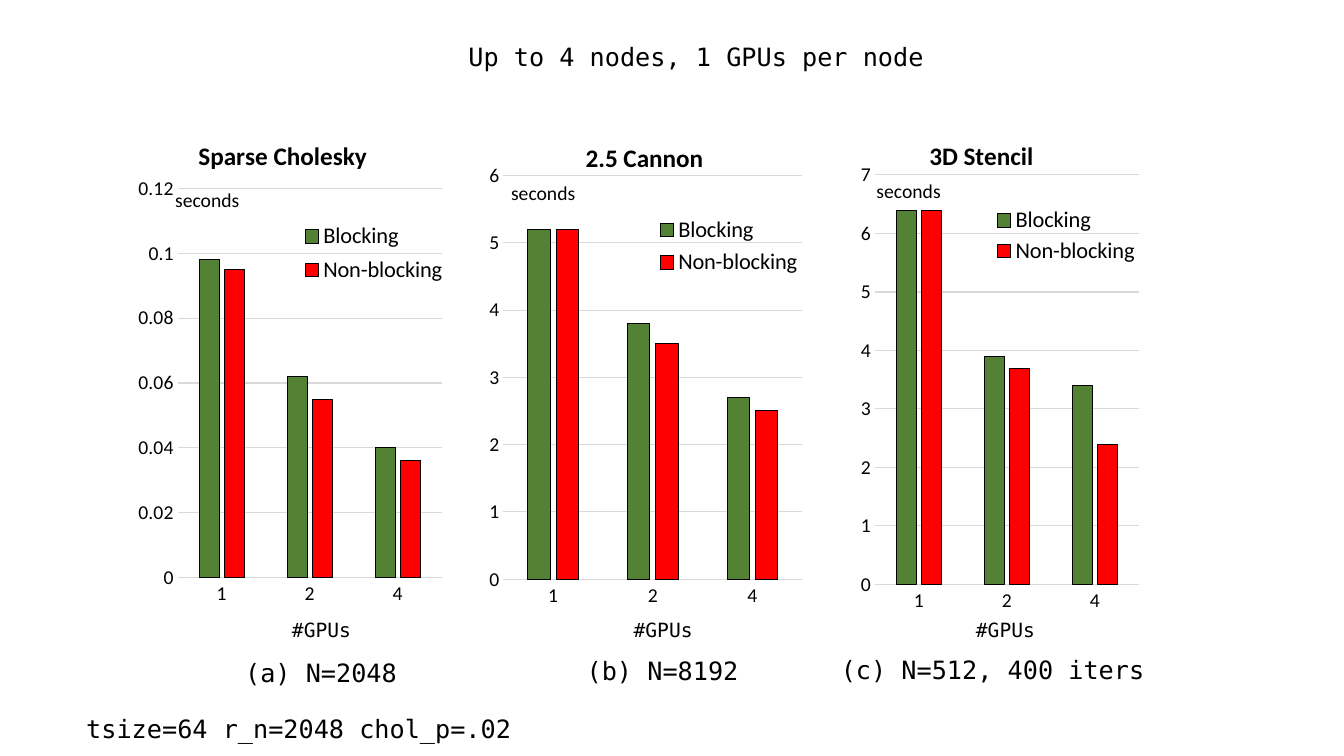
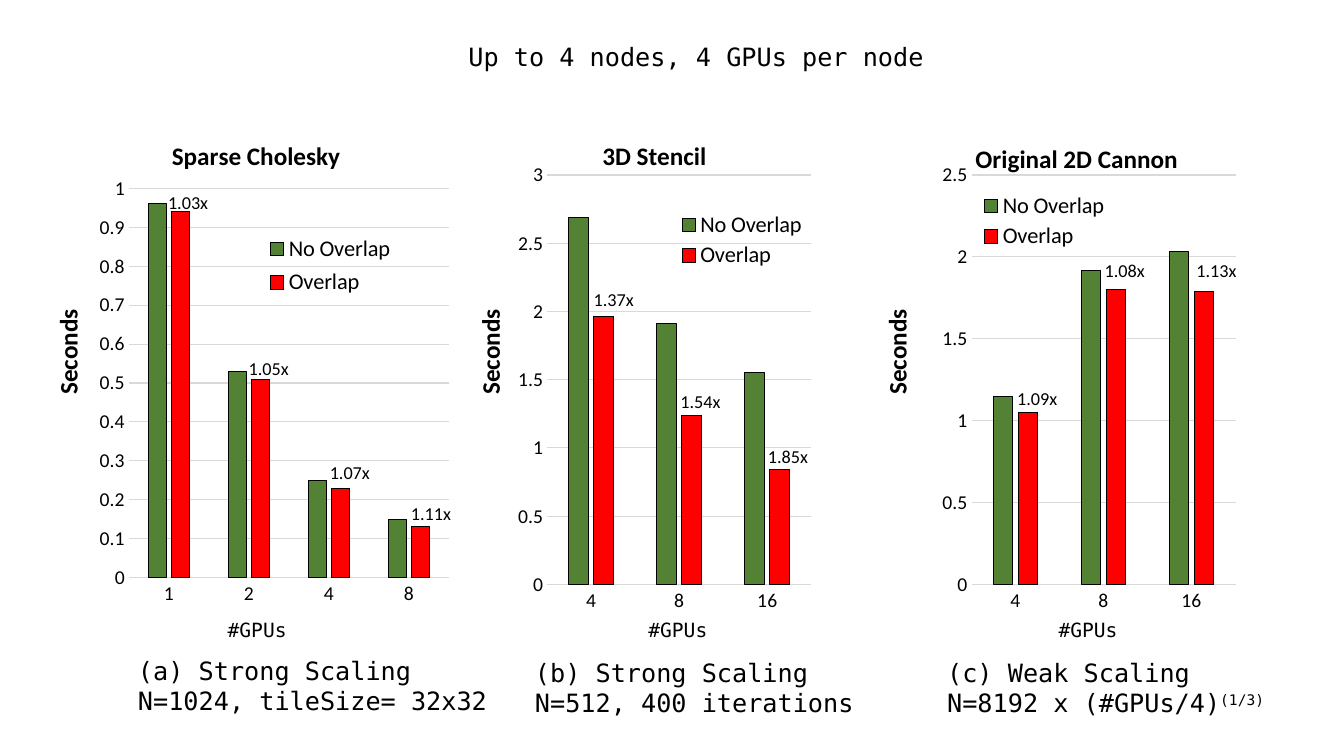
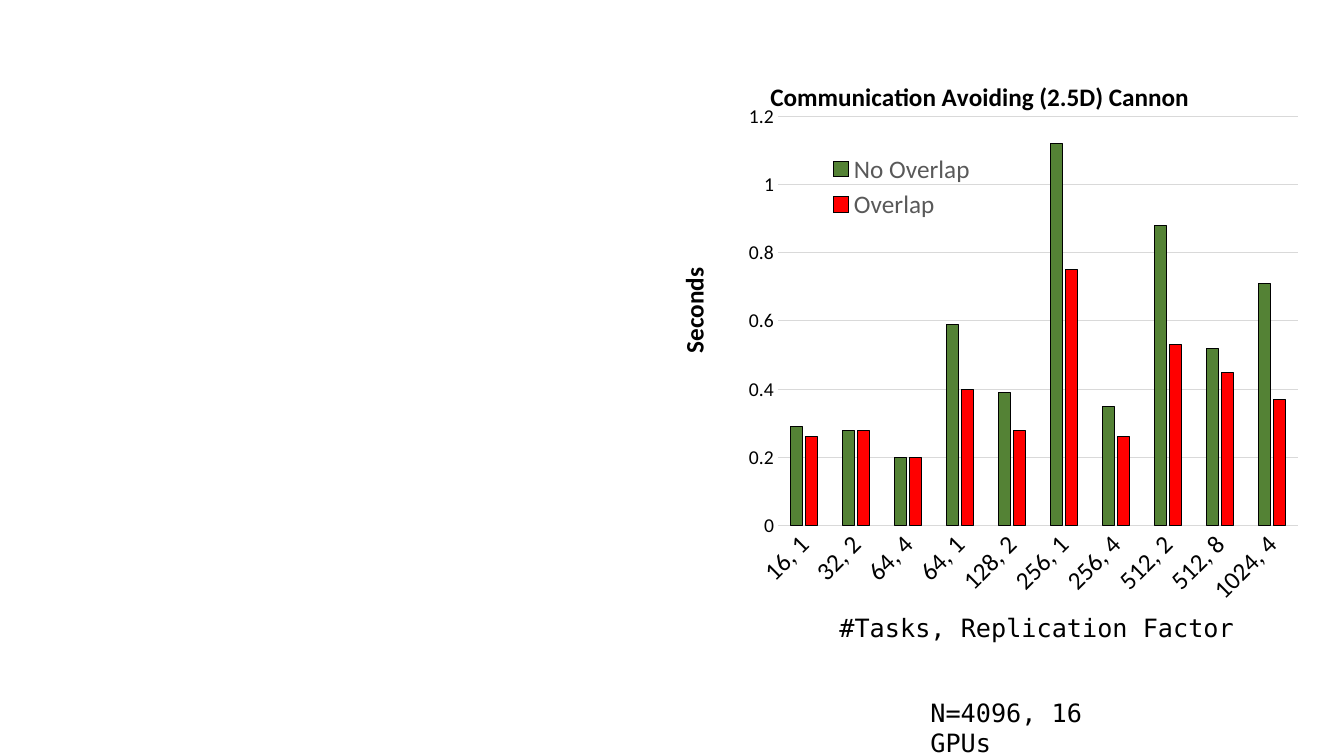
import pptx
import pptx.chart.data
import pptx.dml.color
import pptx.enum.chart
import pptx.enum.text
import pptx.oxml
import pptx.oxml.ns
import pptx.util

Pt = pptx.util.Pt
RGBColor = pptx.dml.color.RGBColor
qn = pptx.oxml.ns.qn

BLACK = RGBColor(0x00, 0x00, 0x00)
GREEN = RGBColor(0x54, 0x82, 0x35)
RED = RGBColor(0xFF, 0x00, 0x00)
GRID = RGBColor(0xD9, 0xD9, 0xD9)
GRAY = RGBColor(0x59, 0x59, 0x59)
SANS, MONO = "Calibri", "DejaVu Sans Mono"

BLOCKING = ("Blocking", "Non-blocking")
OVERLAP = ("No Overlap", "Overlap")
TALL_PLOT = (0.205, 0.112, 0.744, 0.704)
SHORT_PLOT = (0.205, 0.137, 0.744, 0.679)
WIDE_PLOT = (0.107, 0.116, 0.842, 0.713)

STYLES = {
    "note": dict(size=18, font=MONO, height=29),
    "caption": dict(size=18, font=MONO, height=51, wrap=True),
    "gpus": dict(size=14, font=MONO, width=57, height=24.5),
    "unit": dict(size=14, font=SANS, width=97, height=24.5, wrap=True),
    "speedup": dict(size=13, font=SANS, width=44.5, height=23, wrap=True),
    "axis": dict(size=18, font=SANS, width=97, height=29, wrap=True,
                 bold=True, turn=270),
}

SLIDES = [
    dict(
        charts=[
            dict(title="Sparse Cholesky", title_at=(138.5, 95.5),
                 frame=(75, 78.5, 253.5, 409.5), plot=SHORT_PLOT,
                 legend=(212, 168, 26), top=0.12, step=0.02,
                 names=BLOCKING, cats=[1, 2, 4],
                 values=([0.098, 0.062, 0.04], [0.095, 0.055, 0.036])),
            dict(title="2.5 Cannon", title_at=(415, 97),
                 frame=(332.5, 78.5, 253.5, 404.5), plot=WIDE_PLOT,
                 legend=(465.5, 163.5, 25), top=6, step=1,
                 names=BLOCKING, cats=[1, 2, 4],
                 values=([5.2, 3.8, 2.7], [5.2, 3.5, 2.5])),
            dict(title="3D Stencil", title_at=(660.5, 95.5),
                 frame=(573, 78.5, 253.5, 415.5), plot=TALL_PLOT,
                 legend=(706.5, 157, 23), top=7, step=1,
                 names=BLOCKING, cats=[1, 2, 4],
                 values=([6.4, 3.9, 3.4], [6.4, 3.7, 2.4])),
        ],
        texts={
            "note": [("Up to 4 nodes, 1 GPUs per node", 327.5, 26, 344),
                     ("(a) N=2048", 168, 466, 124.5),
                     ("(b) N=8192", 412, 464.5, 124.5),
                     ("(c) N=512, 400 iters", 593.5, 463.5, 234),
                     ("tsize=64 r_n=2048 chol_p=.02", 54.5, 506, 322)],
            "unit": [("seconds", 118, 130.5), ("seconds", 358, 125.5),
                     ("seconds", 619, 124.5)],
            "gpus": [("#GPUs", x, 438) for x in (201.5, 445.5, 690)],
        }),
    dict(
        charts=[
            dict(title="Sparse Cholesky", title_at=(119.5, 95.5),
                 frame=(29, 78.5, 307.5, 409.5), plot=SHORT_PLOT,
                 legend=(181, 177, 26), top=1, step=0.1,
                 names=OVERLAP, cats=[1, 2, 4, 8],
                 values=([0.96, 0.53, 0.25, 0.15], [0.94, 0.51, 0.23, 0.13])),
            dict(title="3D Stencil", title_at=(427, 95.5),
                 frame=(339, 78.5, 253.5, 415.5), plot=TALL_PLOT,
                 legend=(475, 160, 23), top=3, step=0.5,
                 names=OVERLAP, cats=[4, 8, 16],
                 values=([2.69, 1.91, 1.55], [1.96, 1.24, 0.84])),
            dict(title="Original 2D Cannon", title_at=(693.5, 97.5),
                 frame=(642, 78.5, 253.5, 415.5), plot=TALL_PLOT,
                 legend=(691, 146.5, 23), top=2.5, step=0.5,
                 names=OVERLAP, cats=[4, 8, 16],
                 values=([1.15, 1.92, 2.03], [1.05, 1.8, 1.79])),
        ],
        texts={
            "note": [("Up to 4 nodes, 4 GPUs per node", 327.5, 26, 344)],
            "caption": [
                ("(a) Strong Scaling N=1024, tileSize= 32x32", 91.5, 464.5, 272),
                ("(b) Strong Scaling N=512, 400 iterations", 375, 466, 247.5),
                ("(c) Weak Scaling\vN=8192 x (#GPUs/4)^(1/3)", 669.5, 466, 283)],
            "gpus": [("#GPUs", x, 438) for x in (155.5, 456, 749)],
            "axis": [("Seconds", x, 226) for x in (0, 301.5, 592)],
            "speedup": [("1.03x", 113, 133), ("1.05x", 170.5, 252),
                        ("1.07x", 228.5, 326), ("1.11x", 286.5, 355.5),
                        ("1.37x", 417, 202.5), ("1.54x", 479, 275),
                        ("1.85x", 541.5, 314.5), ("1.09x", 719.5, 273),
                        ("1.08x", 782, 182), ("1.13x", 847.5, 182)],
        }),
    dict(
        charts=[
            dict(title="Communication Avoiding (2.5D) Cannon",
                 title_at=(547, 53.5), frame=(453.5, 36.5, 499, 415.5),
                 plot=TALL_PLOT, legend=(589, 120, 27), top=1.2, step=0.2,
                 legend_size=18, legend_color=GRAY, cat_size=18, slant=True,
                 names=OVERLAP,
                 cats=["16, 1", "32, 2", "64, 4", "64, 1", "128, 2",
                       "256, 1", "256, 4", "512, 2", "512, 8", "1024, 4"],
                 values=([0.29, 0.28, 0.2, 0.59, 0.39, 1.12, 0.35, 0.88, 0.52, 0.71],
                         [0.26, 0.28, 0.2, 0.4, 0.28, 0.75, 0.26, 0.53, 0.45, 0.37])),
        ],
        texts={
            "axis": [("Seconds", 447, 196.5)],
            "note": [("#Tasks, Replication Factor", 592.5, 433.5, 300),
                     ("N=4096, 16 GPUs", 657.5, 494.5, 164)],
        }),
]


def set_font(font, size, color=BLACK, name=SANS, bold=False):
    font.size = Pt(size)
    font.color.rgb = color
    font.name = name
    font.bold = bold


def set_layout(parent, index, sizes, inner=False):
    for old in parent.findall(qn("c:layout")):
        parent.remove(old)
    tags = [("layoutTarget", "inner")] if inner else []
    tags += [("xMode", "edge"), ("yMode", "edge")]
    tags += zip("xywh", sizes)
    body = "".join(f'<c:{tag} val="{value}"/>' for tag, value in tags)
    parent.insert(index, pptx.oxml.parse_xml(
        f'<c:layout {pptx.oxml.ns.nsdecls("c")}>'
        f'<c:manualLayout>{body}</c:manualLayout></c:layout>'))


def add_bars(slide, spec):
    left, top, width, height = spec["frame"]
    data = pptx.chart.data.CategoryChartData()
    data.categories = spec["cats"]
    for name, values in zip(spec["names"], spec["values"]):
        data.add_series(name, values)
    chart = slide.shapes.add_chart(
        pptx.enum.chart.XL_CHART_TYPE.COLUMN_CLUSTERED,
        *map(Pt, spec["frame"]), data).chart
    set_font(chart.font, 10)

    plot = chart.plots[0]
    plot.gap_width, plot.overlap, plot.vary_by_categories = 219, -27, False
    for series, color in zip(plot.series, (GREEN, RED)):
        series.format.fill.solid()
        series.format.fill.fore_color.rgb = color
        series.format.line.color.rgb = BLACK
        series.format.line.width = Pt(0.75)

    cat, val = chart.category_axis, chart.value_axis
    for axis, size in ((cat, spec.get("cat_size", 14)), (val, 14)):
        axis.major_tick_mark = pptx.enum.chart.XL_TICK_MARK.NONE
        set_font(axis.tick_labels.font, size)
    if spec.get("slant"):
        cat._element.find(".//" + qn("a:bodyPr")).set("rot", "-2700000")
    val.minimum_scale, val.maximum_scale = 0, spec["top"]
    val.major_unit = spec["step"]
    val.format.line.fill.background()
    for line in (cat.format.line, val.major_gridlines.format.line):
        line.color.rgb = GRID
        line.width = Pt(0.75)

    def share(x, y):
        return round((x - left) / width, 4), round((y - top) / height, 4)

    title = chart.chart_title
    title.text_frame.text = spec["title"]
    set_font(title.text_frame.paragraphs[0].runs[0].font, 18, bold=True)
    set_layout(title._element, 1, share(*spec["title_at"]))

    chart.has_legend = True
    legend = chart.legend
    legend.include_in_layout = False
    set_font(legend.font, spec.get("legend_size", 16),
             spec.get("legend_color", BLACK))
    x, first_row, row = spec["legend"]
    set_layout(legend._element, 1, share(x, first_row - row / 2)
               + (round(110 / width, 4), round(2 * row / height, 4)))
    set_layout(chart._chartSpace.chart.plotArea, 0, spec["plot"], inner=True)


def add_text(slide, text, x, y, width, size, font, height,
             wrap=False, bold=False, turn=0):
    sp = slide.shapes.add_textbox(Pt(x), Pt(y), Pt(width), Pt(height))
    sp.rotation = turn
    tf = sp.text_frame
    tf.word_wrap = wrap
    tf.auto_size = pptx.enum.text.MSO_AUTO_SIZE.SHAPE_TO_FIT_TEXT
    base, _, power = text.partition("^")
    p = tf.paragraphs[0]
    p.text = base
    if power:
        r = p.add_run()
        r.text = power
        r.font._element.set("baseline", "30000")
    for r in p.runs:
        set_font(r.font, size, name=font, bold=bold)


prs = pptx.Presentation()
prs.slide_width, prs.slide_height = Pt(960), Pt(540)
for content in SLIDES:
    slide = prs.slides.add_slide(prs.slide_layouts[6])
    for spec in content["charts"]:
        add_bars(slide, spec)
    for kind, items in content["texts"].items():
        for text, x, y, *width in items:
            style = dict(STYLES[kind])
            if width:
                style["width"] = width[0]
            add_text(slide, text, x, y, **style)
prs.save("out.pptx")
